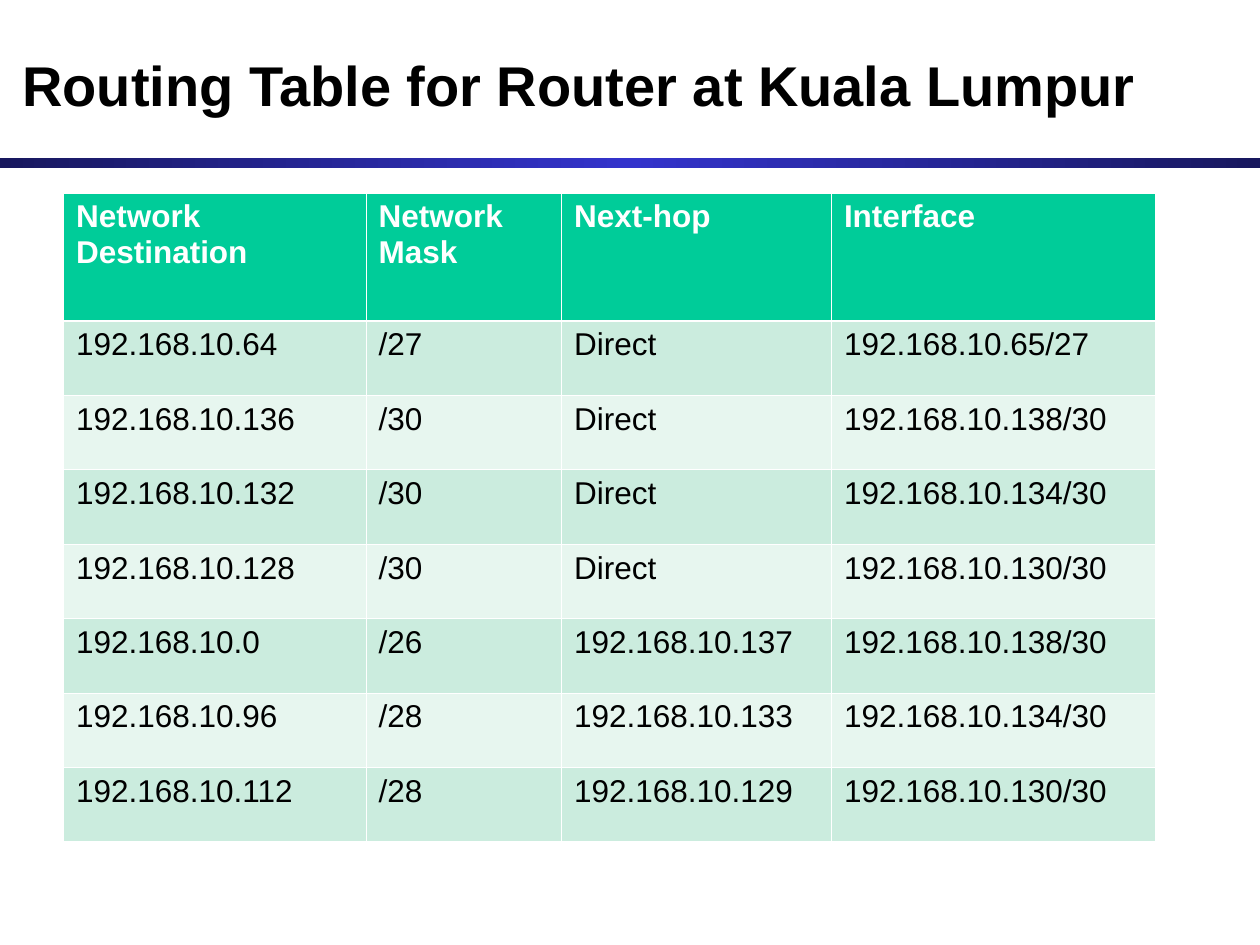
from copy import deepcopy

from lxml.etree import SubElement
from pptx import Presentation
from pptx.dml.color import RGBColor
from pptx.enum.shapes import MSO_SHAPE as Shape
from pptx.enum.text import MSO_ANCHOR as Anchor, PP_ALIGN as Align
from pptx.oxml.ns import qn
from pptx.util import Cm, Pt

BLACK = RGBColor(0x00, 0x00, 0x00)
WHITE = RGBColor(0xFF, 0xFF, 0xFF)
NAVY = RGBColor(0x18, 0x18, 0x5E)
BLUE = RGBColor(0x33, 0x33, 0xCC)
GREEN = RGBColor(0x00, 0xCC, 0x99)
BANDS = (RGBColor(0xCB, 0xEC, 0xDE), RGBColor(0xE7, 0xF6, 0xEF))

FONT = "Arial"
THIN, THICK = Pt(0.45), Pt(1.47)
COLUMN_WIDTHS = (6.1, 3.94, 5.44, 6.53)
HEADER_HEIGHT, ROUTE_HEIGHT = 2.58, 1.5

HEADINGS = ("Network Destination", "Network Mask", "Next-hop", "Interface")
ROUTES = (
    ("192.168.10.64", "/27", "Direct", "192.168.10.65/27"),
    ("192.168.10.136", "/30", "Direct", "192.168.10.138/30"),
    ("192.168.10.132", "/30", "Direct", "192.168.10.134/30"),
    ("192.168.10.128", "/30", "Direct", "192.168.10.130/30"),
    ("192.168.10.0", "/26", "192.168.10.137", "192.168.10.138/30"),
    ("192.168.10.96", "/28", "192.168.10.133", "192.168.10.134/30"),
    ("192.168.10.112", "/28", "192.168.10.129", "192.168.10.130/30"),
)


def set_font(para, size, color, bold):
    font = para.font
    font.name, font.size, font.bold = FONT, Pt(size), bold
    font.color.rgb = color


def add_title(slide, text):
    title = slide.shapes.title
    title.left, title.top, title.width, title.height = Cm(0.2), Cm(0.43), Cm(24.97), Cm(2.54)
    frame = title.text_frame
    frame.text = text
    frame.word_wrap = True
    frame.vertical_anchor = Anchor.MIDDLE
    frame.margin_left = frame.margin_right = Cm(0.25)
    para = frame.paragraphs[0]
    para.alignment = Align.LEFT
    set_font(para, 32, BLACK, True)


def add_divider(slide, width):
    """Draw a full-width bar that fades from navy to blue and back."""
    bar = slide.shapes.add_shape(Shape.RECTANGLE, 0, Cm(3.18), width, Cm(0.2))
    bar.shadow.inherit = False
    bar.line.fill.background()
    bar.fill.gradient()
    bar.fill.gradient_angle = 0
    stop_list = next(bar._element.iter(qn("a:gsLst")))
    stop_list.append(deepcopy(stop_list[0]))
    for stop, color, position in zip(bar.fill.gradient_stops, (NAVY, BLUE, NAVY), (0, 0.5, 1)):
        stop.color.rgb = color
        stop.position = position


def set_borders(cell, top, bottom):
    properties = cell._tc.get_or_add_tcPr()
    for side, width in (("L", THIN), ("R", THIN), ("T", top), ("B", bottom)):
        line = SubElement(properties, qn(f"a:ln{side}"), w=str(int(width)))
        fill = SubElement(line, qn("a:solidFill"))
        SubElement(fill, qn("a:srgbClr"), val=str(WHITE))


def fill_row(row, texts, fill, color, bold=False, top=THIN, bottom=THIN):
    for cell, text in zip(row.cells, texts):
        cell.text = text
        set_font(cell.text_frame.paragraphs[0], 18, color, bold)
        set_borders(cell, top, bottom)
        cell.fill.solid()
        cell.fill.fore_color.rgb = fill


def add_routing_table(slide):
    height = HEADER_HEIGHT + ROUTE_HEIGHT * len(ROUTES)
    table = slide.shapes.add_table(
        len(ROUTES) + 1, len(HEADINGS), Cm(1.28), Cm(3.89), Cm(sum(COLUMN_WIDTHS)), Cm(height)
    ).table
    for column, width in zip(table.columns, COLUMN_WIDTHS):
        column.width = Cm(width)

    header, *route_rows = table.rows
    header.height = Cm(HEADER_HEIGHT)
    fill_row(header, HEADINGS, GREEN, WHITE, bold=True, bottom=THICK)
    for index, (row, route) in enumerate(zip(route_rows, ROUTES)):
        row.height = Cm(ROUTE_HEIGHT)
        fill_row(row, route, BANDS[index % 2], BLACK, top=THIN if index else THICK)


def main():
    deck = Presentation()
    deck.slide_width, deck.slide_height = Cm(25.4), Cm(19.05)
    slide = deck.slides.add_slide(deck.slide_layouts[5])
    add_divider(slide, deck.slide_width)
    add_title(slide, "Routing Table for Router at Kuala Lumpur")
    add_routing_table(slide)
    deck.save("out.pptx")


if __name__ == "__main__":
    main()
